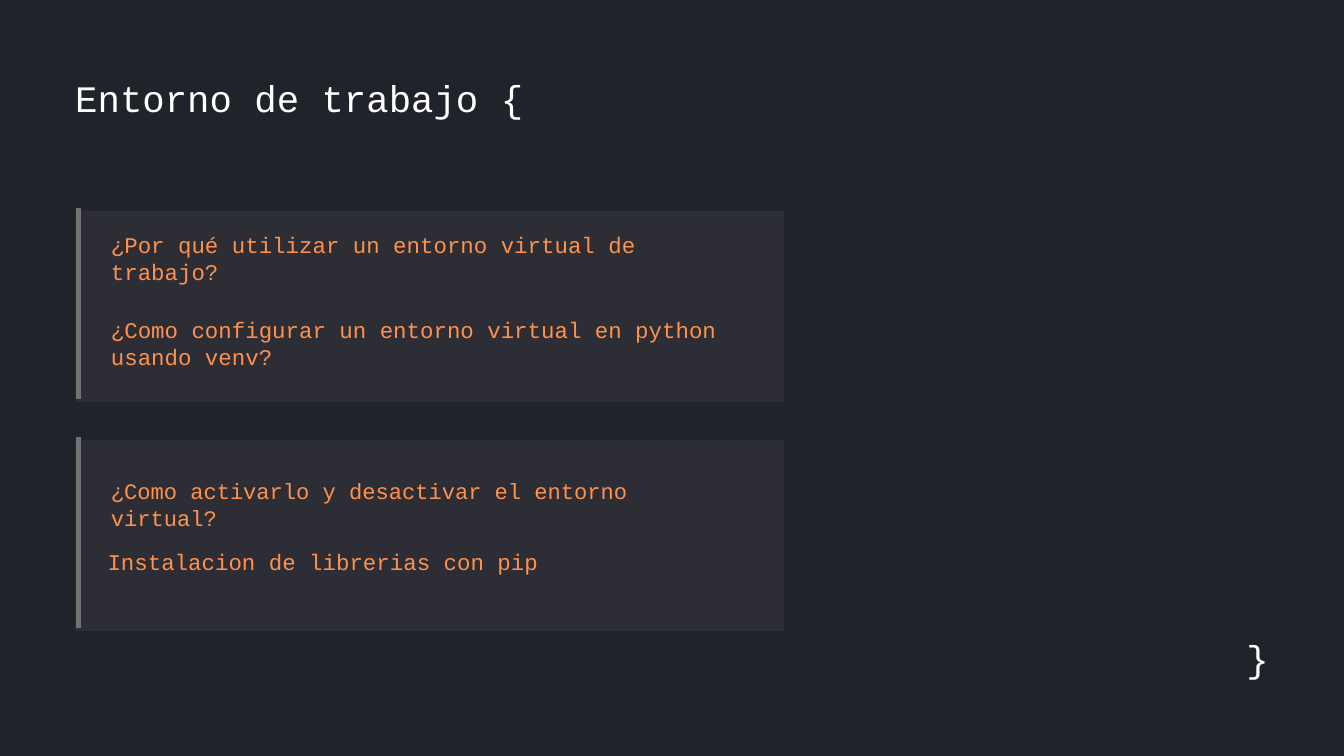
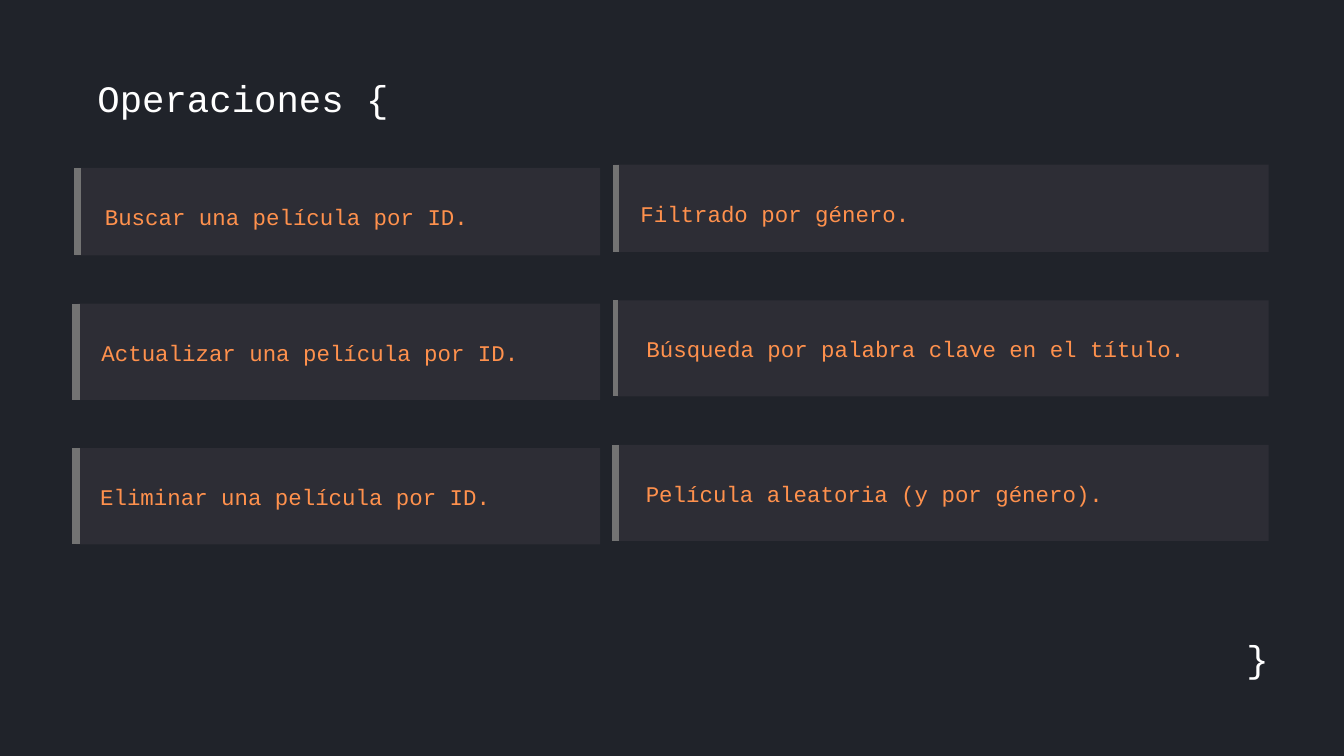
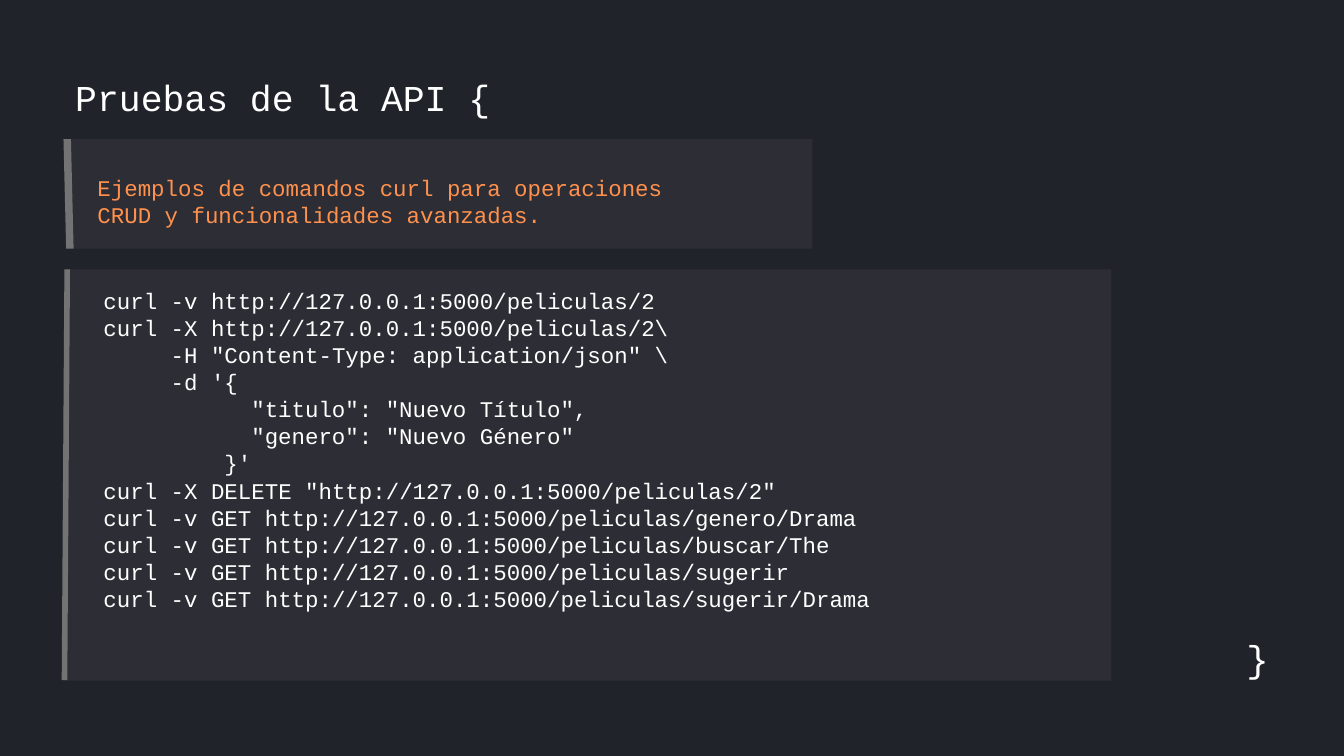
from dataclasses import dataclass

from lxml import etree
from pptx import Presentation
from pptx.dml.color import RGBColor
from pptx.enum import shapes, text
from pptx.oxml import ns
from pptx.util import Inches, Pt

FONT = "Courier New"
COLORS = {
    "back": "20232A",
    "panel": "2D2D35",
    "bar": "737373",
    "note": "FF914D",
    "plain": "FFFFFF",
}
CHAR = 0.2  # width of one 24 pt character, in inches


@dataclass
class Panel:
    left: float
    top: float
    width: float
    height: float


@dataclass
class Bar:
    x1: float
    y1: float
    x2: float
    y2: float
    weight: float = 6


@dataclass
class Note:
    words: str
    left: float
    top: float
    width: float
    height: float = 0.41
    size: float = 24
    lead: float = 29


@dataclass
class Task:
    words: str
    edge: float
    bar: float
    left: float
    width: float
    weight: float


@dataclass
class Code:
    words: str
    indent: int = 0


TOPICS = [
    Note("¿Por qué utilizar un entorno virtual de trabajo?", 1.65, 3.44, 9.32, 0.81),
    Note("¿Como configurar un entorno virtual en python usando venv?",
         1.65, 4.7, 9.32, 0.81),
    Note("¿Como activarlo y desactivar el entorno virtual?",
         1.65, 7.1, 9.22, 0.79, 23.7, 28.7),
    Note("Instalacion de librerias con pip", 1.6, 8.15, 9.32),
]

ROWS = [(2.5, 1.3), (4.52, 1.43), (6.67, 1.43)]  # top, height
COLUMNS = [  # right edge, vertical shift, tasks
    (8.93, 0, [
        Task("Buscar una película por ID.", 1.12, 1.15, 1.56, 6.85, 8),
        Task("Actualizar una película por ID.", 1.15, 1.13, 1.51, 6.88, 8),
        Task("Eliminar una película por ID.", 1.13, 1.13, 1.49, 6.89, 8),
    ]),
    (18.88, -0.05, [
        Task("Filtrado por género.", 9.14, 9.17, 9.53, 6.9, 6),
        Task("Búsqueda por palabra clave en el título.", 9.18, 9.16, 9.62, 8.57, 6),
        Task("Película aleatoria (y por género).", 9.16, 9.16, 9.61, 8.58, 8),
    ]),
]

HOST = "http://127.0.0.1:5000/peliculas/"
CODE = [
    Code(f"curl -v {HOST}2"),
    Code(f"curl -X {HOST}2\\"),
    Code('-H "Content-Type: application/json" \\', 5),
    Code("-d '{", 5),
    Code('"titulo": "Nuevo Título",', 11),
    Code('"genero": "Nuevo Género"', 11),
    Code("}'", 9),
    Code(f'curl -X DELETE "{HOST}2"'),
    Code(f"curl -v GET {HOST}genero/Drama"),
    Code(f"curl -v GET {HOST}buscar/The"),
    Code(f"curl -v GET {HOST}sugerir"),
    Code(f"curl -v GET {HOST}sugerir/Drama"),
]


def color(name: str) -> RGBColor:
    return RGBColor.from_string(COLORS[name])


def add_panel(slide, panel: Panel) -> None:
    shape = slide.shapes.add_shape(
        shapes.MSO_SHAPE.RECTANGLE, Inches(panel.left), Inches(panel.top),
        Inches(panel.width), Inches(panel.height))
    shape.shadow.inherit = False
    shape.fill.solid()
    shape.fill.fore_color.rgb = color("panel")
    shape.line.fill.background()


def add_bar(slide, bar: Bar) -> None:
    line = slide.shapes.add_connector(
        shapes.MSO_CONNECTOR.STRAIGHT, Inches(bar.x1), Inches(bar.y1),
        Inches(bar.x2), Inches(bar.y2))
    line.line.color.rgb = color("bar")
    line.line.width = Pt(bar.weight)
    etree.SubElement(line._element.spPr, ns.qn("a:effectLst"))


def add_frame(slide, left: float, top: float, width: float, height: float):
    """Add a wrapping text box without margins and return its text frame."""
    box = slide.shapes.add_textbox(
        Inches(left), Inches(top), Inches(width), Inches(height))
    frame = box.text_frame
    frame.margin_left = frame.margin_right = 0
    frame.margin_top = frame.margin_bottom = 0
    frame.word_wrap = True
    frame.auto_size = text.MSO_AUTO_SIZE.SHAPE_TO_FIT_TEXT
    return frame


def set_text(para, words: str, size: float, lead: float, tint: str) -> None:
    para.text = words
    para.line_spacing = Pt(lead)
    para.font.name = FONT
    para.font.size = Pt(size)
    para.font.color.rgb = color(tint)


def add_note(slide, note: Note, tint: str = "note"):
    frame = add_frame(slide, note.left, note.top, note.width, note.height)
    para = frame.paragraphs[0]
    set_text(para, note.words, note.size, note.lead, tint)
    return para


def add_code(slide, lines: list[Code]) -> None:
    frame = add_frame(slide, 1.54, 4.27, 15, 6.35)
    for i, line in enumerate(lines):
        para = frame.add_paragraph() if i else frame.paragraphs[0]
        set_text(para, line.words, 24, 29, "plain")
        if line.indent:
            para._p.get_or_add_pPr().set("marL", str(Inches(line.indent * CHAR)))


def add_slide(deck, title: str, left: float = 1.12, size: float = 40,
              lead: float = 45.6):
    """Add a dark slide with its title and closing brace."""
    slide = deck.slides.add_slide(deck.slide_layouts[6])
    slide.background.fill.solid()
    slide.background.fill.fore_color.rgb = color("back")
    add_note(slide, Note(title, left, 1.15, 9, 0.64, size, lead), "plain")
    brace = add_note(slide, Note("}", 18.11, 9.49, 0.77, 0.64, 40, 45.6), "plain")
    brace.alignment = text.PP_ALIGN.RIGHT
    return slide


def add_setup(deck) -> None:
    slide = add_slide(deck, "Entorno de trabajo {")
    for top in (3.14, 6.55):
        add_panel(slide, Panel(1.12, top, 10.55, 2.84))
        add_bar(slide, Bar(1.17, top - 0.04, 1.17, top + 2.8))
    for note in TOPICS:
        add_note(slide, note)


def add_tasks(deck) -> None:
    slide = add_slide(deck, "Operaciones {", left=1.45)
    for right, shift, tasks in COLUMNS:
        for (row, height), task in zip(ROWS, tasks):
            top = row + shift
            add_panel(slide, Panel(task.edge, top, right - task.edge, height))
            add_bar(slide, Bar(task.bar, top, task.bar, top + height, task.weight))
            add_note(slide, Note(task.words, task.left, top + 0.52, task.width))


def add_tests(deck) -> None:
    slide = add_slide(deck, "Pruebas de la API {", size=39, lead=44.5)
    add_panel(slide, Panel(1, 2.07, 11.09, 1.63))
    add_bar(slide, Bar(1, 2.07, 1.04, 3.7, 8))
    add_note(slide, Note(
        "Ejemplos de comandos curl para operaciones CRUD y funcionalidades avanzadas.",
        1.45, 2.59, 8.58, 0.8))
    add_panel(slide, Panel(0.96, 4.01, 15.58, 6.12))
    add_bar(slide, Bar(1, 4.01, 0.96, 10.12))
    add_code(slide, CODE)


def main() -> None:
    deck = Presentation()
    deck.slide_width = Inches(20)
    deck.slide_height = Inches(11.25)
    add_setup(deck)
    add_tasks(deck)
    add_tests(deck)
    deck.save("out.pptx")


if __name__ == "__main__":
    main()
